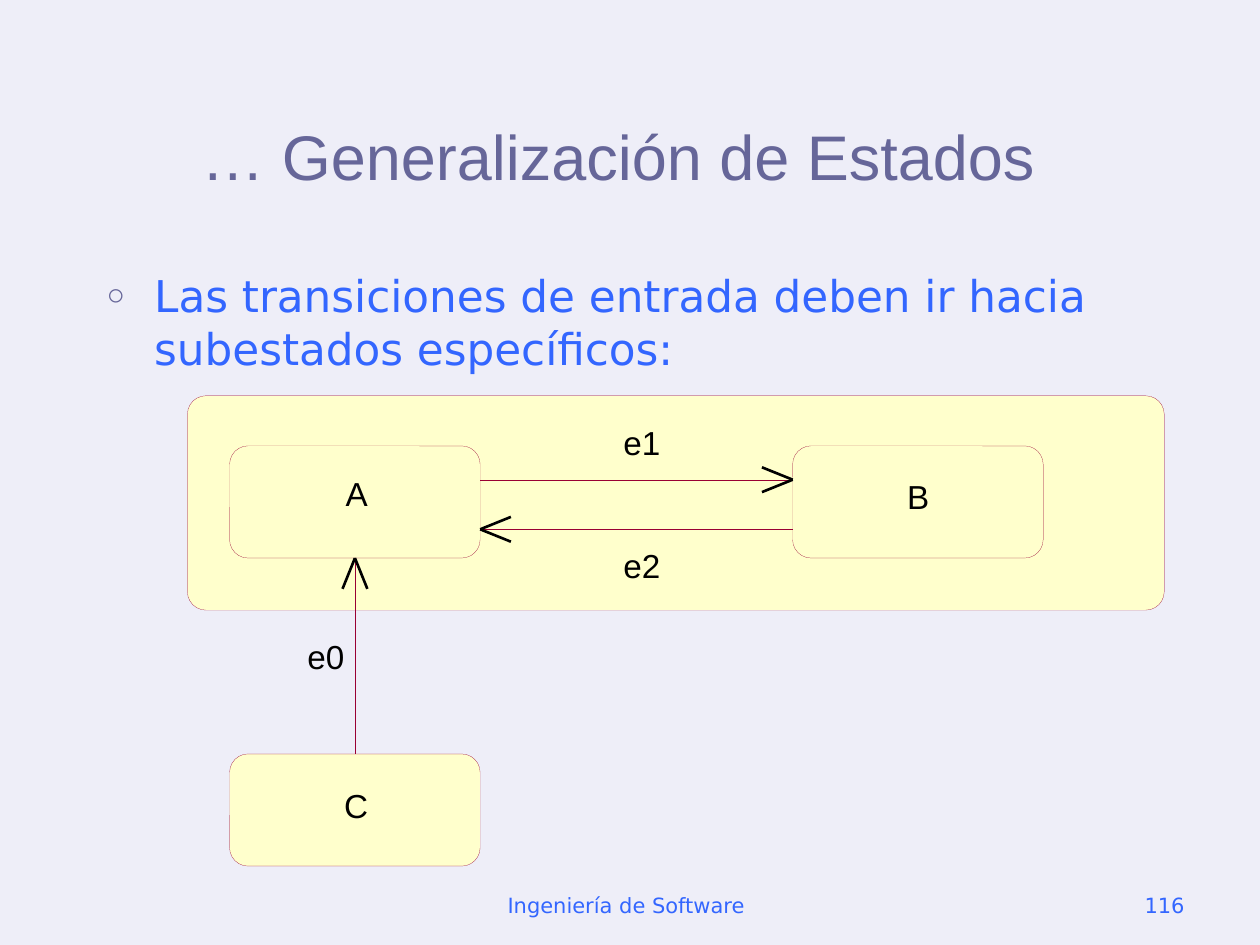
"""Builds a slide on state generalization with a small state diagram."""
import pptx
import pptx.dml.color
import pptx.enum.shapes
import pptx.enum.text
import pptx.oxml
import pptx.oxml.ns
import pptx.util
import lxml.etree

Cm = pptx.util.Cm
Pt = pptx.util.Pt
RGB = pptx.dml.color.RGBColor
ALIGN = pptx.enum.text.PP_ALIGN
ANCHOR = pptx.enum.text.MSO_ANCHOR
KIND = pptx.enum.shapes.MSO_SHAPE
LINE = pptx.enum.shapes.MSO_CONNECTOR

BACK = RGB(0xEE, 0xEE, 0xF8)
BLUE = RGB(0x33, 0x66, 0xFF)
SLATE = RGB(0x66, 0x66, 0x99)
CREAM = RGB(0xFF, 0xFF, 0xCC)
WINE = RGB(0x99, 0x00, 0x33)
BLACK = RGB(0, 0, 0)
THIN = 0.1

deck = pptx.Presentation()
deck.slide_width, deck.slide_height = Cm(25.4), Cm(19.05)
slide = deck.slides.add_slide(deck.slide_layouts[6])
slide.background.fill.solid()
slide.background.fill.fore_color.rgb = BACK


def write(text, spot, font, size, color, align=ALIGN.LEFT, anchor=ANCHOR.TOP):
    box = slide.shapes.add_textbox(*[Cm(n) for n in spot])
    frame = box.text_frame
    frame.word_wrap = True
    frame.vertical_anchor = anchor
    frame.text = text
    para = frame.paragraphs[0]
    para.alignment = align
    style = para.runs[0].font
    style.name, style.size = font, Pt(size)
    style.color.rgb = color
    return frame


def draw(start, end, color, width):
    line = slide.shapes.add_connector(
        LINE.STRAIGHT, *[Cm(n) for n in (*start, *end)])
    line.line.color.rgb = color
    line.line.width = Pt(width)
    lxml.etree.SubElement(line._element.spPr, pptx.oxml.ns.qn("a:effectLst"))


write("Ingeniería de Software", (8.6, 17.35, 8.05, 1.27), "DejaVu Sans", 12,
      BLUE, ALIGN.CENTER, ANCHOR.BOTTOM)
write("116", (18.21, 17.35, 5.92, 1.27), "DejaVu Sans", 12,
      BLUE, ALIGN.RIGHT, ANCHOR.BOTTOM)
write("… Generalización de Estados", (3.81, 0.84, 20.32, 3.18), "Arial", 36,
      SLATE, anchor=ANCHOR.BOTTOM)
body = write("Las transiciones de entrada deben ir hacia subestados específicos:",
             (1.9, 5.3, 21.59, 12.12), "DejaVu Sans", 25, BLUE)
props = body.paragraphs[0]._p.get_or_add_pPr()
props.set("marL", str(Cm(0.96)))
props.set("indent", str(-Cm(0.96)))
names = pptx.oxml.ns.nsdecls("a")
for mark in (f'<a:buClr {names}><a:srgbClr val="{SLATE}"/></a:buClr>',
             f'<a:buSzPct {names} val="70000"/>',
             f'<a:buFont {names} typeface="Arial"/>',
             f'<a:buChar {names} char="○"/>'):
    props.append(pptx.oxml.parse_xml(mark))

wide, high = 5.05, 2.26
left, right = 4.63, 15.98
top, low = 8.99, 15.2
states = [(left, low, wide, high), (3.78, 7.98, 19.69, 4.32),
          (left, top, wide, high), (right, top, wide, high)]
for spot in states:
    state = slide.shapes.add_shape(KIND.ROUNDED_RECTANGLE, *[Cm(n) for n in spot])
    state.shadow.inherit = False
    state.adjustments[0] = 0.37 / spot[3]
    state.fill.solid()
    state.fill.fore_color.rgb = CREAM
    state.line.color.rgb = WINE
    state.line.width = Pt(THIN)

edge, mid = left + wide, left + wide / 2
arrows = [((edge, 9.67), (right, 9.67)),
          ((right, 10.67), (edge, 10.67)),
          ((mid, low), (mid, top + high))]
barb, half = 0.62, 0.25
for start, end in arrows:
    draw(start, end, WINE, THIN)
    (x, y), (u, v) = start, end
    span = abs(u - x) + abs(v - y)
    dx, dy = (u - x) / span, (v - y) / span
    for side in (half, -half):
        tip = (u - barb * dx - side * dy, v - barb * dy + side * dx)
        draw(end, tip, BLACK, 1.5)

labels = [("C", 7.18, 15.83), ("A", 7.19, 9.55), ("B", 18.51, 9.6),
          ("e1", 12.94, 8.51), ("e2", 12.94, 10.99), ("e0", 6.57, 12.83)]
room = 0.9
for text, x, y in labels:
    frame = write(text, (x - room / 2, y, room, 0.81), "Arial", 19, BLACK,
                  ALIGN.CENTER)
    frame.word_wrap = False
    frame.auto_size = pptx.enum.text.MSO_AUTO_SIZE.SHAPE_TO_FIT_TEXT
    frame.margin_left = frame.margin_right = 0
    frame.margin_top = frame.margin_bottom = 0

deck.save("out.pptx")
